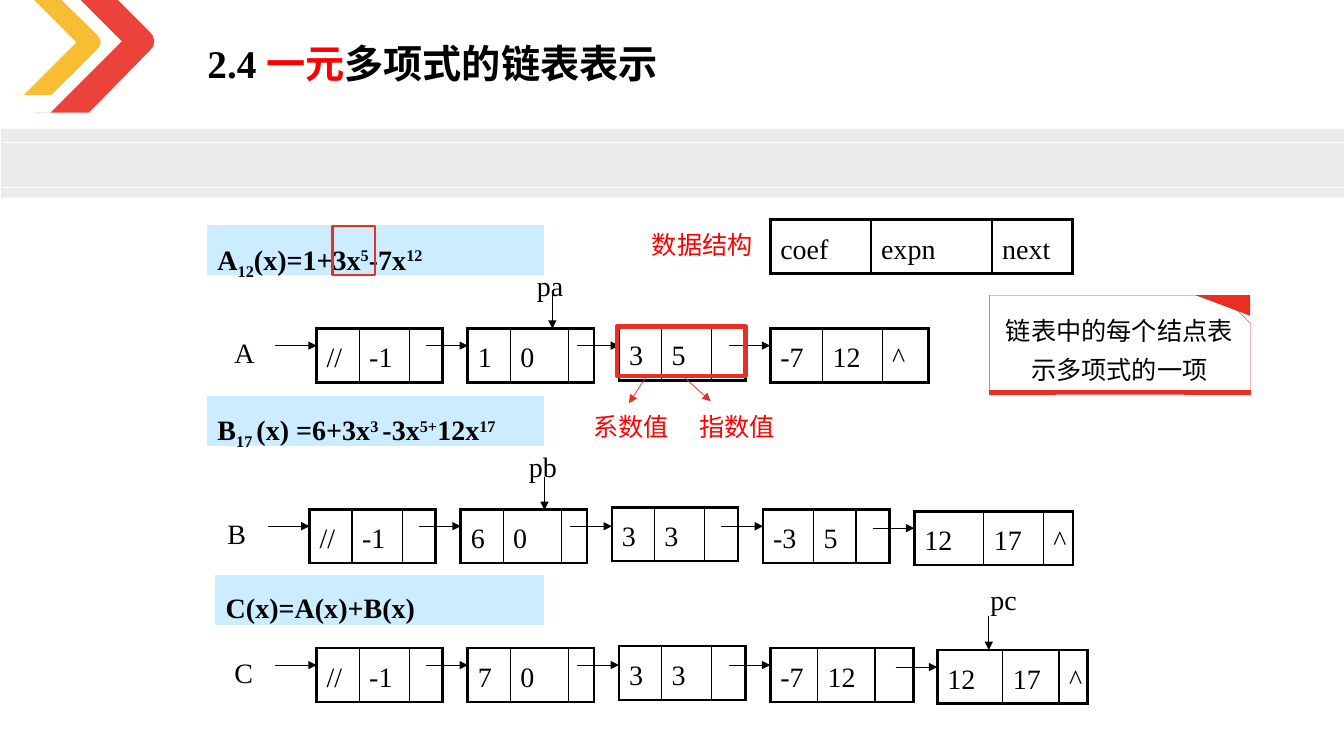
from lxml.etree import SubElement
from pptx import Presentation
from pptx.dml.color import RGBColor
from pptx.enum.shapes import MSO_CONNECTOR as Connector, MSO_SHAPE as Shape
from pptx.enum.text import MSO_ANCHOR as Anchor, PP_ALIGN as Align
from pptx.oxml.ns import qn
from pptx.util import Cm, Pt

BLACK = RGBColor(0x00, 0x00, 0x00)
WHITE = RGBColor(0xFF, 0xFF, 0xFF)
RED = RGBColor(0xFF, 0x00, 0x00)
ACCENT = RGBColor(0xE9, 0x2E, 0x25)
YELLOW = RGBColor(0xF7, 0xB6, 0x1D)
PALE_BLUE = RGBColor(0xCC, 0xEC, 0xFF)
DARK_GREY = RGBColor(0x40, 0x40, 0x40)

SUB, SUPER = -25000, 30000
NODE_PITCH = 3.81
NODE_HEIGHT = 1.24
ARROW_LENGTH = 1.05
NODE_SHIFTS = (0, 0, -0.05, 0, 0.05)
PLAIN = (1.07, 1.27, 0.84)
WIDE_EXPONENT = (1.07, 1.47, 0.64)

# Per list: name, left of the first node, top, nodes as (coef, expn, next, widths)
LISTS = [
    ("A", 7.98, 8.28, [
        ("//", "-1", "", PLAIN), ("1", "0", "", WIDE_EXPONENT),
        ("3", "5", "", PLAIN), ("-7", "12", "^", (1.32, 1.5, 1.17))]),
    ("B", 7.8, 12.83, [
        ("//", "-1", "", PLAIN), ("6", "0", "", WIDE_EXPONENT),
        ("3", "3", "", PLAIN), ("-3", "5", "", (1.27, 1.07, 0.84)),
        ("12", "17", "^", (1.75, 1.5, 0.75))]),
    ("C", 7.98, 16.33, [
        ("//", "-1", "", PLAIN), ("7", "0", "", WIDE_EXPONENT),
        ("3", "3", "", PLAIN), ("-7", "12", "", (1.19, 1.45, 0.97)),
        ("12", "17", "^", (1.65, 1.42, 0.71))]),
]
# Text, label left and top, arrow x, start and end
POINTERS = [
    ("pa", 13.28, 6.38, 13.92, 7.44, 8.28),
    ("pb", 13.08, 10.95, 13.72, 12.01, 12.85),
    ("pc", 24.71, 14.3, 24.92, 15.52, 16.38),
]
# Left, top, width, runs as (text, baseline)
FORMULAS = [
    (5.23, 5.69, 8.46, [("A", 0), ("12", SUB), ("(x)=1+3x", 0), ("5", SUPER),
                        ("-7x", 0), ("12", SUPER)]),
    (5.23, 9.98, 8.46, [("B", 0), ("17 ", SUB), ("(x) =6+3x", 0), ("3 ", SUPER),
                        ("-3x", 0), ("5+", SUPER), ("12x", 0), ("17", SUPER)]),
    (5.44, 14.5, 8.25, [("C(x)=A(x)+B(x)", 0)]),
]
RED_LABELS = [("系数值", 14.71, 10.24, 2.84), ("指数值", 17.37, 10.24, 2.84),
              ("数据结构", 16.18, 5.66, 3.25)]
RED_CHEVRON = [(0.86, 2.84), (2.24, 2.84), (3.78, 1.27), (3.86, 1.17), (3.89, 1.04),
               (3.86, 0.91), (3.78, 0.81), (2.97, 0), (2.03, 0), (3.07, 1.04), (1.27, 2.84)]
YELLOW_CHEVRON = [(0.3, 2.39), (1.3, 2.39), (2.46, 1.24), (2.52, 1.15), (2.54, 1.06),
                  (2.52, 0.98), (2.46, 0.89), (1.55, 0), (0.86, 0), (1.93, 1.07), (0.61, 2.39)]
NOTE_CORNER = [(31.5, 7.44), (30.15, 7.44), (31.5, 7.95)]


class SlideBuilder:
    """Draws elements in the slide's style; positions are in centimetres."""

    font = "Times New Roman"

    def __init__(self, slide):
        self.slide = slide

    def add_runs(self, frame, runs, size=20, bold=False, spacing=1.3, align=None):
        """Fill a text frame with runs given as (text, baseline, colour)."""
        paragraph = frame.paragraphs[0]
        paragraph.line_spacing = spacing
        paragraph.alignment = align
        for text, baseline, color in runs:
            run = paragraph.add_run()
            run.text = text
            run.font.name = self.font
            run.font.size = Pt(size)
            run.font.bold = bold
            run.font.color.rgb = color
            if baseline:
                run._r.get_or_add_rPr().set("baseline", str(baseline))

    def text(self, left, top, width, height, runs, **style):
        box = self.slide.shapes.add_textbox(Cm(left), Cm(top), Cm(width), Cm(height))
        box.text_frame.word_wrap = True
        self.add_runs(box.text_frame, runs, **style)

    def paint(self, shape, fill, line, weight, opacity):
        shape.shadow.inherit = False
        if fill is None:
            shape.fill.background()
        else:
            shape.fill.solid()
            shape.fill.fore_color.rgb = fill
            if opacity < 100:
                color = shape._element.spPr.find(qn("a:solidFill"))[0]
                SubElement(color, qn("a:alpha"), val=str(opacity * 1000))
        if line is None:
            shape.line.fill.background()
        else:
            shape.line.color.rgb = line
            shape.line.width = Pt(weight)

    def shape(self, kind, left, top, width, height, fill=None, line=None, weight=0.75,
              opacity=100):
        shape = self.slide.shapes.add_shape(kind, Cm(left), Cm(top), Cm(width), Cm(height))
        self.paint(shape, fill, line, weight, opacity)
        return shape

    def polygon(self, points, fill, line=None, weight=0.25, opacity=100):
        corners = [(Cm(x), Cm(y)) for x, y in points]
        builder = self.slide.shapes.build_freeform(*corners[0])
        builder.add_line_segments(corners[1:], close=True)
        self.paint(builder.convert_to_shape(), fill, line, weight, opacity)

    def line(self, x1, y1, x2, y2, color=BLACK, weight=0.75, arrow=True):
        line = self.slide.shapes.add_connector(
            Connector.STRAIGHT, Cm(x1), Cm(y1), Cm(x2), Cm(y2))
        line.line.color.rgb = color
        line.line.width = Pt(weight)
        if arrow:
            SubElement(line.line._get_or_add_ln(), qn("a:tailEnd"), type="triangle")
        SubElement(line._element.spPr, qn("a:effectLst"))

    def node(self, left, top, texts, widths, height=NODE_HEIGHT):
        """Draw a list node as a one-row table."""
        table = self.slide.shapes.add_table(
            1, len(texts), Cm(left), Cm(top), Cm(sum(widths)), Cm(height)).table
        table.first_row = table.horz_banding = False
        for index, (text, width) in enumerate(zip(texts, widths)):
            table.columns[index].width = Cm(width)
            cell = table.cell(0, index)
            if text:
                self.add_runs(cell.text_frame, [(text, 0, BLACK)])
            self.borders(cell, 2.25 if index == 0 else 1,
                         2.25 if index == len(texts) - 1 else 1)
            cell.fill.background()

    def borders(self, cell, left, right):
        properties = cell._tc.get_or_add_tcPr()
        for side, weight in (("L", left), ("R", right), ("T", 2.25), ("B", 2.25)):
            border = SubElement(properties, qn(f"a:ln{side}"), w=str(Pt(weight)))
            fill = SubElement(border, qn("a:solidFill"))
            SubElement(fill, qn("a:srgbClr"), val=str(BLACK))

    def linked_list(self, name, left, top, nodes):
        self.text(left - 2.32, top - 0.2, 1.7, NODE_HEIGHT, [(name, 0, BLACK)])
        for index, (coef, expn, link, widths) in enumerate(nodes):
            x = left + index * NODE_PITCH
            if name == "C" and index == 4:
                x += 0.4
            shift = NODE_SHIFTS[index]
            self.node(x, top + shift, (coef, expn, link), widths)
            arrow_y = top + 0.43 + max(shift, 0)
            self.line(x - ARROW_LENGTH, arrow_y, x, arrow_y)


def main():
    presentation = Presentation()
    presentation.slide_width, presentation.slide_height = Cm(33.87), Cm(19.05)
    slide = SlideBuilder(presentation.slides.add_slide(presentation.slide_layouts[6]))

    slide.shape(Shape.RECTANGLE, 0.03, 3.25, 33.84, 1.73, DARK_GREY, opacity=10)
    for y in (3.58, 4.72):
        slide.line(0.03, y, 33.87, y, WHITE, 0.5, arrow=False)
    slide.polygon(RED_CHEVRON, ACCENT, opacity=90)
    slide.polygon(YELLOW_CHEVRON, YELLOW, opacity=90)
    slide.text(4.98, 0.51, 16.99, 1.65,
               [("2.4 ", 0, BLACK), ("一元", 0, RED), ("多项式的链表表示", 0, BLACK)],
               size=28, bold=True)

    for left, top, width, runs in FORMULAS:
        box = slide.shape(Shape.RECTANGLE, left, top, width, 1.24, PALE_BLUE, PALE_BLUE)
        box.text_frame.vertical_anchor = Anchor.TOP
        slide.add_runs(box.text_frame, [(*run, BLACK) for run in runs], bold=True,
                       align=Align.LEFT)
    for linked_list in LISTS:
        slide.linked_list(*linked_list)
    for name, left, top, x, start, end in POINTERS:
        slide.text(left, top, 1.7, 1.24, [(name, 0, BLACK)])
        slide.line(x, start, x, end)
    slide.node(19.41, 5.54, ("coef", "expn", "next"), (2.54, 3.05, 2.03), 1.27)

    slide.shape(Shape.RECTANGLE, 8.38, 5.69, 1.07, 1.24, line=ACCENT, weight=1.5)
    slide.shape(Shape.RECTANGLE, 15.54, 8.23, 3.25, 1.24, line=ACCENT, weight=3)
    slide.line(16.26, 9.53, 15.85, 10.16, ACCENT, 0.5)
    slide.line(17.2, 9.47, 17.91, 10.11, ACCENT, 0.5)
    for text, left, top, width in RED_LABELS:
        slide.text(left, top, width, 1.02, [(text, 0, RED)], size=18, spacing=1)

    slide.text(24.92, 7.59, 6.58, 2.16, [("链表中的每个结点表示多项式的一项", 0, BLACK)],
               size=18, align=Align.CENTER)
    note = slide.shape(Shape.SNIP_1_RECTANGLE, 24.94, 7.44, 6.58, 2.46,
                       line=ACCENT, weight=0.25)
    note.adjustments[0] = 0.29
    slide.shape(Shape.RECTANGLE, 24.94, 9.83, 6.58, 0.1, ACCENT, ACCENT, 0.25)
    slide.polygon(NOTE_CORNER, ACCENT, ACCENT)
    presentation.save("out.pptx")


if __name__ == "__main__":
    main()
